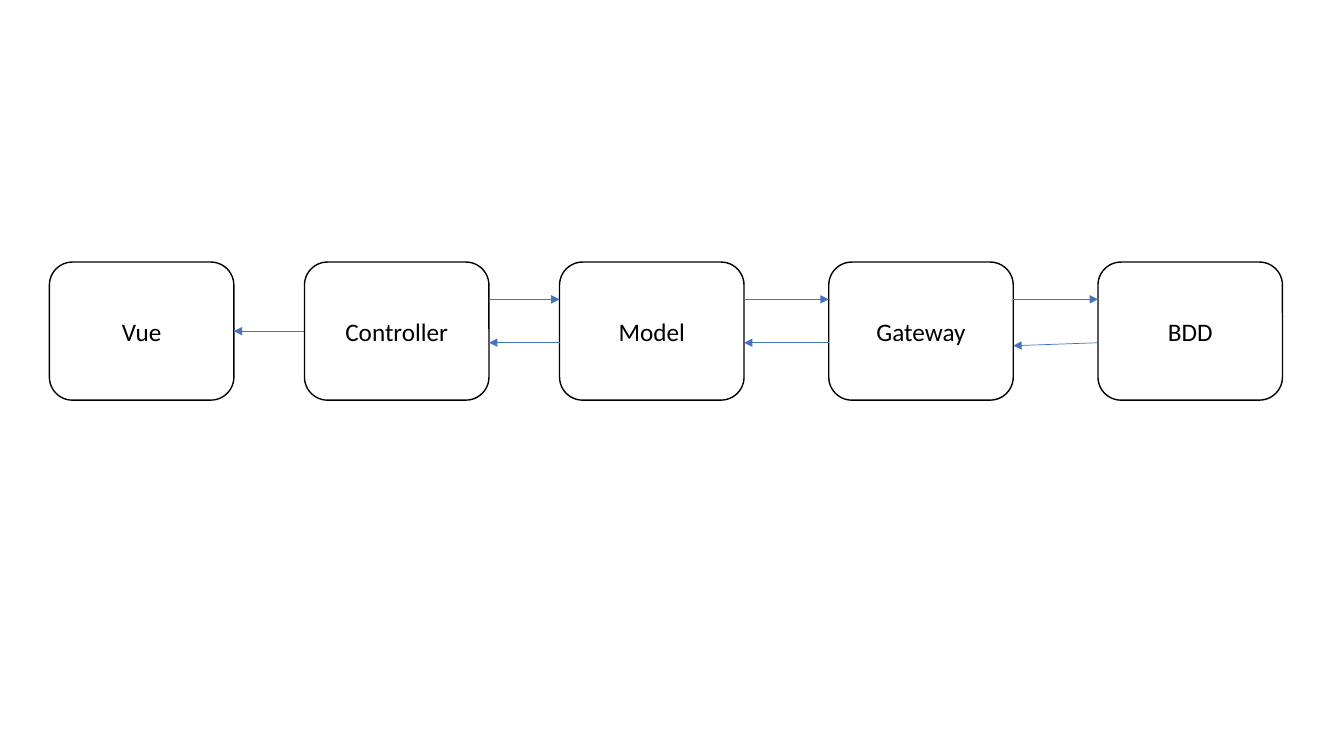
"""Draws the chain of layers from view to database, with arrows between neighbours."""
from itertools import accumulate

from pptx import Presentation
from pptx.dml.color import RGBColor
from pptx.enum.shapes import MSO_CONNECTOR, MSO_SHAPE
from pptx.enum.text import MSO_ANCHOR, PP_ALIGN
from pptx.oxml.ns import qn
from pptx.util import Inches, Pt
from lxml.etree import SubElement

BLACK = RGBColor(0x00, 0x00, 0x00)
WHITE = RGBColor(0xFF, 0xFF, 0xFF)
BLUE = RGBColor(0x44, 0x72, 0xC4)

WIDTH, HEIGHT = 1.83, 1.37
LEFT, TOP = 0.49, 2.6
NAMES = ["Vue", "Controller", "Model", "Gateway", "BDD"]
GAPS = [0.7, 0.7, 0.84, 0.84]
COLS = list(accumulate((WIDTH + gap for gap in GAPS), initial=LEFT))
SEND, REPLY, MIDDLE = 2.97, 3.4, TOP + HEIGHT / 2


def write(shape, text, size=18, font="Calibri", color=BLACK):
    frame = shape.text_frame
    frame.word_wrap = True
    frame.vertical_anchor = MSO_ANCHOR.MIDDLE
    line = frame.paragraphs[0]
    line.alignment = PP_ALIGN.CENTER
    run = line.add_run()
    run.text = text
    run.font.size = Pt(size)
    run.font.name = font
    run.font.color.rgb = color


def arrow(start, end):
    link = slide.shapes.add_connector(
        MSO_CONNECTOR.STRAIGHT, *(Inches(n) for n in (*start, *end)))
    link.line.color.rgb = BLUE
    link.line.width = Pt(0.5)
    SubElement(link.line._get_or_add_ln(), qn("a:tailEnd"), type="triangle")
    SubElement(link._element.spPr, qn("a:effectLst"))


deck = Presentation()
deck.slide_width, deck.slide_height = Inches(13.33), Inches(7.5)
slide = deck.slides.add_slide(deck.slide_layouts[6])

for name, left in zip(NAMES, COLS):
    box = slide.shapes.add_shape(
        MSO_SHAPE.ROUNDED_RECTANGLE,
        *(Inches(n) for n in (left, TOP, WIDTH, HEIGHT)))
    box.shadow.inherit = False
    box.fill.solid()
    box.fill.fore_color.rgb = WHITE
    box.line.color.rgb = BLACK
    box.line.width = Pt(1)
    write(box, name)

arrow((COLS[1], MIDDLE), (COLS[0] + WIDTH, MIDDLE))
for left, right, drop in zip(COLS[1:], COLS[2:], (0, 0, 0.03)):
    edge = left + WIDTH
    arrow((edge, SEND), (right, SEND))
    arrow((right, REPLY), (edge, REPLY + drop))

deck.save("out.pptx")
